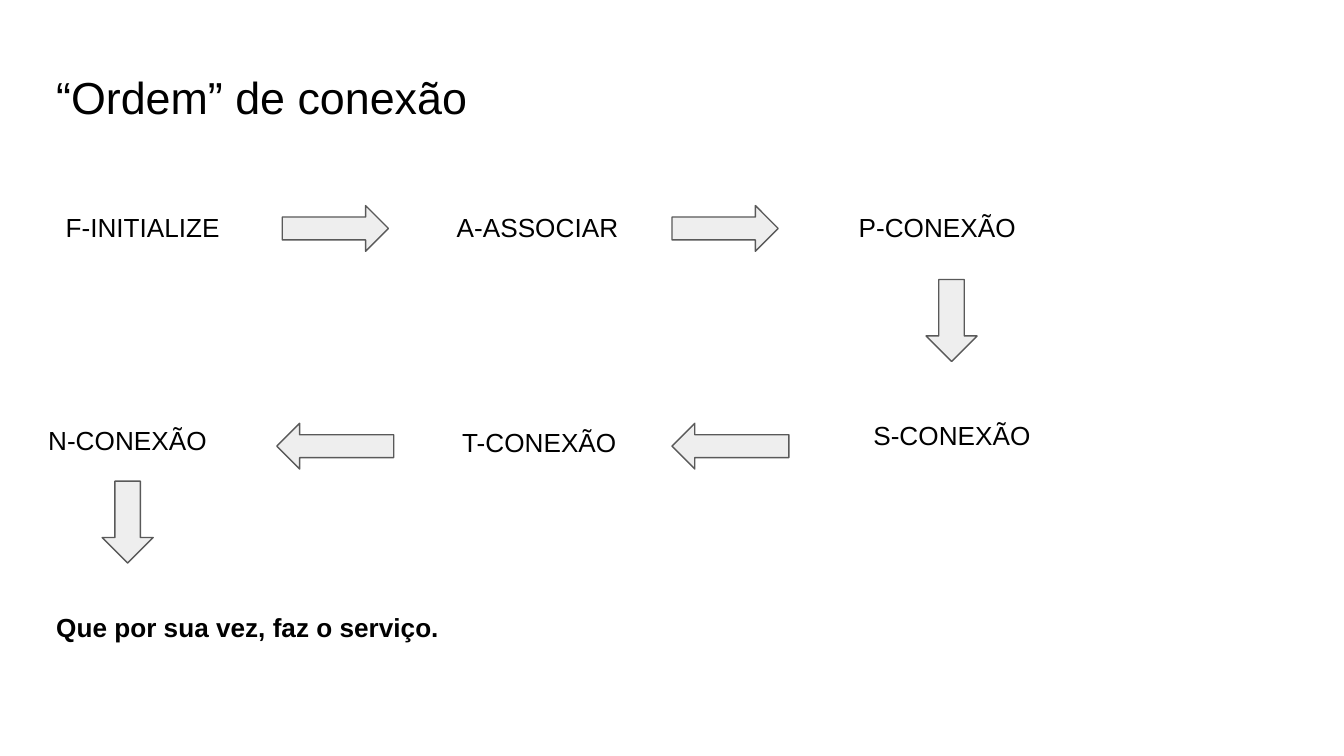
from pptx import Presentation
from pptx.dml.color import RGBColor
from pptx.enum.shapes import MSO_SHAPE as Shape
from pptx.enum.text import MSO_ANCHOR as Anchor
from pptx.util import Inches, Pt

BLACK, ARROW_FILL, ARROW_LINE = "000000", "EEEEEE", "595959"

# text, left, top, width, height
STEPS = [
    ("F-INITIALIZE", 0.39, 1.47, 1.61, 0.61),
    ("A-ASSOCIAR", 3.3, 1.47, 2.29, 0.61),
    ("P-CONEXÃO", 6.29, 1.47, 2.52, 0.61),
    ("S-CONEXÃO", 6.4, 3.02, 2.16, 0.88),
    ("T-CONEXÃO", 3.34, 3.07, 1.48, 0.4),
    ("N-CONEXÃO", 0.26, 3.06, 1.61, 0.53),
]

# kind, width, height, (left, top) of each arrow
ARROWS = [
    (Shape.RIGHT_ARROW, 0.79, 0.34, [(2.1, 1.53), (5, 1.53)]),
    (Shape.DOWN_ARROW, 0.38, 0.61, [(6.89, 2.08), (0.76, 3.58)]),
    (Shape.LEFT_ARROW, 0.87, 0.34, [(5, 3.15), (2.06, 3.15)]),
]


def color(value):
    return RGBColor.from_string(value)


def add_text(slide, text, left, top, width, height, size=14, bold=False):
    box = slide.shapes.add_textbox(*map(Inches, (left, top, width, height)))
    frame = box.text_frame
    frame.word_wrap = True
    frame.vertical_anchor = Anchor.TOP
    frame.margin_left = frame.margin_right = Inches(0.1)
    frame.margin_top = frame.margin_bottom = Inches(0.1)
    paragraph = frame.paragraphs[0]
    paragraph.text = text
    font = paragraph.font
    font.name, font.size, font.bold = "Arial", Pt(size), bold
    font.color.rgb = color(BLACK)


def add_arrow(slide, kind, left, top, width, height):
    arrow = slide.shapes.add_shape(kind, *map(Inches, (left, top, width, height)))
    arrow.shadow.inherit = False
    arrow.fill.solid()
    arrow.fill.fore_color.rgb = color(ARROW_FILL)
    arrow.line.color.rgb = color(ARROW_LINE)
    arrow.line.width = Pt(0.75)


def main():
    presentation = Presentation()
    presentation.slide_width = Inches(10)
    presentation.slide_height = Inches(10) * 9 // 16
    slide = presentation.slides.add_slide(presentation.slide_layouts[6])

    add_text(slide, "“Ordem” de conexão", 0.32, 0.42, 5.17, 0.68, size=24)
    for step in STEPS:
        add_text(slide, *step)
    for kind, width, height, places in ARROWS:
        for left, top in places:
            add_arrow(slide, kind, left, top, width, height)
    add_text(slide, "Que por sua vez, faz o serviço.", 0.32, 4.45, 4.16, 0.46, bold=True)

    presentation.save("out.pptx")


if __name__ == "__main__":
    main()
